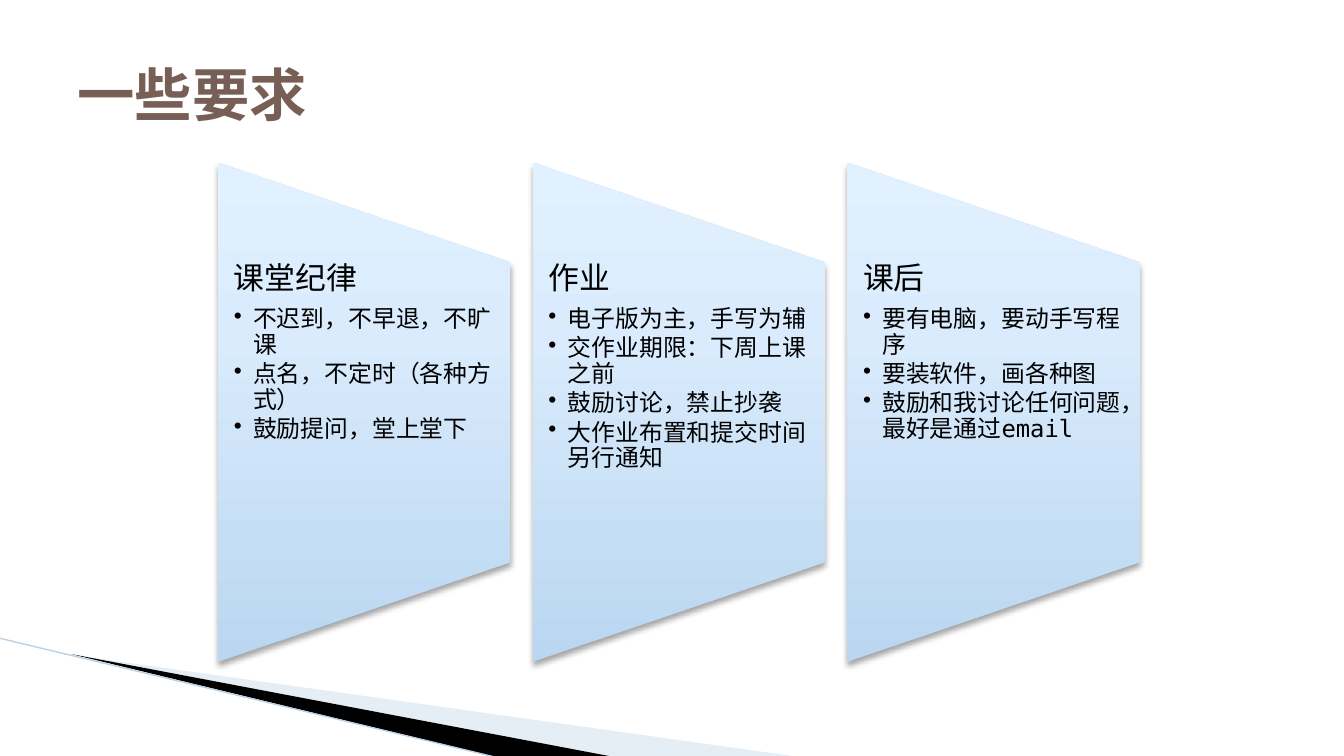
from lxml import etree
from pptx import Presentation
from pptx.dml.color import RGBColor
from pptx.enum.lang import MSO_LANGUAGE_ID as Lang
from pptx.enum.shapes import MSO_CONNECTOR as Connector, MSO_SHAPE as Shape
from pptx.enum.text import MSO_ANCHOR as Anchor
from pptx.oxml import parse_xml
from pptx.oxml.ns import nsdecls, qn
from pptx.util import Inches, Pt

BLACK = RGBColor(0x00, 0x00, 0x00)
BROWN = RGBColor(0x77, 0x5F, 0x55)
MIST = RGBColor(0xC0, 0xD3, 0xE6)
EDGE = RGBColor(0xBB, 0xD0, 0xE3)
PANEL_STOPS = (
    (0, RGBColor(0xBA, 0xD6, 0xF1)),
    (65, RGBColor(0xD9, 0xEB, 0xFC)),
    (100, RGBColor(0xE2, 0xF1, 0xFF)),
)

REQUIREMENTS = (
    ("课堂纪律", ("不迟到，不早退，不旷课", "点名，不定时（各种方式）", "鼓励提问，堂上堂下")),
    ("作业", ("电子版为主，手写为辅", "交作业期限：下周上课之前", "鼓励讨论，禁止抄袭",
            "大作业布置和提交时间另行通知")),
    ("课后", ("要有电脑，要动手写程序", "要装软件，画各种图",
            "鼓励和我讨论任何问题，最好是通过email")),
)


class SlideBuilder:
    """Draws the elements of one slide in a shared style."""

    font = "DejaVu Sans Mono"

    def __init__(self, slide):
        self.shapes = slide.shapes

    def wedge(self, corners, color, opacity=100):
        points = [(Inches(x), Inches(y)) for x, y in corners]
        outline = self.shapes.build_freeform(*points[0])
        outline.add_line_segments(points[1:], close=True)
        wedge = outline.convert_to_shape()
        wedge.shadow.inherit = False
        wedge.fill.solid()
        wedge.fill.fore_color.rgb = color
        wedge.line.fill.background()
        if opacity < 100:
            tint = wedge._element.spPr.find(".//" + qn("a:srgbClr"))
            etree.SubElement(tint, qn("a:alpha"), val=str(opacity * 1000))

    def line(self, x1, y1, x2, y2, color, width):
        edge = self.shapes.add_connector(
            Connector.STRAIGHT, Inches(x1), Inches(y1), Inches(x2), Inches(y2))
        edge.line.color.rgb = color
        edge.line.width = Pt(width)
        etree.SubElement(edge._element.spPr, qn("a:effectLst"))

    def panel(self, left, top, width, height):
        panel = self.shapes.add_shape(
            Shape.FLOWCHART_MANUAL_OPERATION,
            Inches(left), Inches(top), Inches(width), Inches(height))
        panel.rotation = 270
        panel.line.fill.background()
        stops = "".join(
            f'<a:gs pos="{pos * 1000}"><a:srgbClr val="{color}"/></a:gs>'
            for pos, color in PANEL_STOPS)
        properties = panel._element.spPr
        properties.find(qn("a:prstGeom")).addnext(parse_xml(
            f'<a:gradFill {nsdecls("a")} rotWithShape="0"><a:gsLst>{stops}</a:gsLst>'
            '<a:lin ang="16200000" scaled="0"/></a:gradFill>'))
        properties.append(parse_xml(
            f'<a:effectLst {nsdecls("a")}><a:outerShdw blurRad="{Pt(4)}" dist="{Pt(3)}" '
            'dir="5400000" rotWithShape="0"><a:srgbClr val="000000">'
            '<a:alpha val="35000"/></a:srgbClr></a:outerShdw></a:effectLst>'))

    def text_frame(self, left, top, width, height):
        frame = self.shapes.add_textbox(
            Inches(left), Inches(top), Inches(width), Inches(height)).text_frame
        frame.word_wrap = True
        return frame

    def run(self, paragraph, text, size, color, bold=False):
        run = paragraph.add_run()
        run.text = text
        run.font.name = self.font
        run.font.size = Pt(size)
        run.font.color.rgb = color
        run.font.bold = bold
        run.font.language_id = Lang.SIMPLIFIED_CHINESE

    def title(self, text, left, top, width, height):
        frame = self.text_frame(left, top, width, height)
        frame.vertical_anchor = Anchor.MIDDLE
        self.run(frame.paragraphs[0], text, 41, BROWN, bold=True)

    def topic(self, heading, rules, left, top, width, height):
        frame = self.text_frame(left, top, width, height)
        frame.margin_left = frame.margin_right = Inches(0.15)
        frame.margin_top = frame.margin_bottom = 0
        opening = frame.paragraphs[0]
        opening.line_spacing = 0.9
        opening.space_after = Pt(7.7)
        self.run(opening, heading, 22, BLACK)
        for rule in rules:
            item = frame.add_paragraph()
            item.level = 1
            item.line_spacing = 0.9
            item.space_after = Pt(2.55)
            layout = item._p.get_or_add_pPr()
            layout.set("marL", str(Inches(0.19)))
            layout.set("indent", str(-Inches(0.19)))
            etree.SubElement(layout, qn("a:buChar"), char="•")
            self.run(item, rule, 17, BLACK)


def main():
    deck = Presentation()
    deck.slide_width, deck.slide_height = Inches(13.33), Inches(7.5)
    page = SlideBuilder(deck.slides.add_slide(deck.slide_layouts[6]))

    page.wedge([(0.73, 6.5), (7.93, 7.51), (6.08, 7.51)], MIST, opacity=40)
    page.wedge([(0.71, 6.49), (6.09, 7.51), (4.96, 7.52)], BLACK)
    page.line(-0.01, 6.33, 4.95, 7.52, EDGE, 0.95)

    for column, (heading, rules) in enumerate(REQUIREMENTS):
        offset = column * 3.12
        page.panel(1.14 + offset, 2.64, 4.95, 2.9)
        page.topic(heading, rules, 2.17 + offset, 2.61, 2.9, 2.97)

    page.title("一些要求", 0.67, 0.3, 12, 1.25)
    deck.save("out.pptx")


if __name__ == "__main__":
    main()
